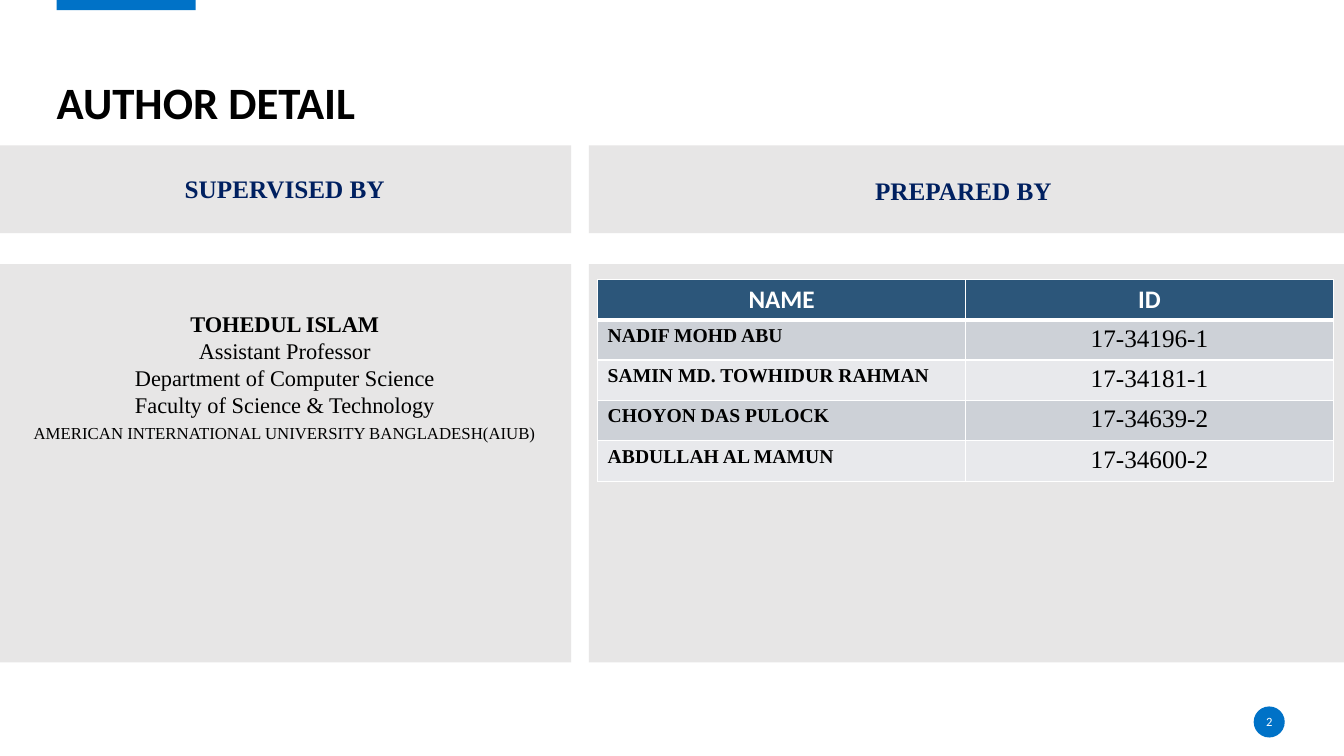
from lxml import etree
from pptx import Presentation
from pptx import util as u
from pptx.dml.color import RGBColor
from pptx.enum import shapes, text
from pptx.oxml import ns

BLUE = RGBColor(0x00, 0x72, 0xC7)
NAVY = RGBColor(0x00, 0x20, 0x60)
STEEL = RGBColor(0x2C, 0x56, 0x7A)
PANEL_GREY = RGBColor(0xE7, 0xE6, 0xE6)
BAND_DARK = RGBColor(0xCD, 0xD1, 0xD7)
BAND_LIGHT = RGBColor(0xE8, 0xE9, 0xEC)
WHITE = RGBColor(0xFF, 0xFF, 0xFF)
BLACK = RGBColor(0, 0, 0)
SERIF, SANS = "Times New Roman", "Calibri"

# Grid of 160 columns by 90 rows, each cell a twelfth of an inch
CELL = u.Inches(1) // 12
COLUMNS, ROWS = 160, 90
MARGIN = 6.75
LEFT_WIDTH, RIGHT_START = 68, 70.1
HEAD_TOP, HEAD_HEIGHT = 17.3, 10.45
BODY_TOP, BODY_HEIGHT = 31.45, 47.4

AUTHORS = [
    ("NADIF MOHD ABU", "17-34196-1"),
    ("SAMIN MD. TOWHIDUR RAHMAN", "17-34181-1"),
    ("CHOYON DAS PULOCK", "17-34639-2"),
    ("ABDULLAH AL MAMUN", "17-34600-2"),
]
SUPERVISOR_ROLE = [
    "Assistant Professor",
    "Department of Computer Science",
    "Faculty of Science & Technology",
]


def cells(*counts):
    return [round(count * CELL) for count in counts]


def write(paragraph, words, size, font=SERIF, color=BLACK, bold=False,
          align=text.PP_ALIGN.CENTER, line=None, before=0, after=0):
    paragraph.alignment = align
    paragraph.line_spacing = line
    paragraph.space_before = u.Pt(before)
    paragraph.space_after = u.Pt(after)
    run = paragraph.add_run()
    run.text = words
    run.font.size, run.font.name, run.font.bold = u.Pt(size), font, bold
    run.font.color.rgb = color


def add_block(slide, area, color, kind=shapes.MSO_SHAPE.RECTANGLE):
    block = slide.shapes.add_shape(kind, *cells(*area))
    block.shadow.inherit = False
    block.fill.solid()
    block.fill.fore_color.rgb = color
    block.line.fill.background()


def add_text(slide, area, lines, anchor=text.MSO_ANCHOR.MIDDLE):
    frame = slide.shapes.add_textbox(*cells(*area)).text_frame
    frame.word_wrap = True
    frame.vertical_anchor = anchor
    frame.margin_left = frame.margin_right = 0
    frame.margin_top = frame.margin_bottom = 0
    for number, (words, style) in enumerate(lines):
        paragraph = frame.add_paragraph() if number else frame.paragraphs[0]
        write(paragraph, words, **style)


def fill_cell(cell, words, fill, top=1, bottom=1, **style):
    # Borders come before the fill in the cell properties
    properties = cell._tc.get_or_add_tcPr()
    for side, points in (("L", 1), ("R", 1), ("T", top), ("B", bottom)):
        edge = etree.SubElement(properties, ns.qn(f"a:ln{side}"),
                                w=str(u.Pt(points)))
        paint = etree.SubElement(edge, ns.qn("a:solidFill"))
        etree.SubElement(paint, ns.qn("a:srgbClr"), val=str(WHITE))
    cell.fill.solid()
    cell.fill.fore_color.rgb = fill
    write(cell.text_frame.paragraphs[0], words, **style)


def add_authors(slide, left, top, width, row_height):
    row_count = len(AUTHORS) + 1
    authors = slide.shapes.add_table(
        row_count, 2, *cells(left, top, width, row_height * row_count)).table
    for column, heading in enumerate(("NAME", "ID")):
        fill_cell(authors.cell(0, column), heading, STEEL, bottom=3,
                  size=18, font=SANS, color=WHITE, bold=True)
    for row, (name, student_id) in enumerate(AUTHORS, start=1):
        band = BAND_DARK if row % 2 else BAND_LIGHT
        top_edge = 3 if row == 1 else 1
        fill_cell(authors.cell(row, 0), name, band, top_edge, size=14,
                  bold=True, align=text.PP_ALIGN.LEFT)
        fill_cell(authors.cell(row, 1), student_id, band, top_edge, size=18)


def main():
    deck = Presentation()
    deck.slide_width, deck.slide_height = cells(COLUMNS, ROWS)
    slide = deck.slides.add_slide(deck.slide_layouts[6])

    # Panels: a heading and a body on each side
    for left, width in ((RIGHT_START, COLUMNS - RIGHT_START), (0, LEFT_WIDTH)):
        add_block(slide, (left, BODY_TOP, width, BODY_HEIGHT), PANEL_GREY)
        add_block(slide, (left, HEAD_TOP, width, HEAD_HEIGHT), PANEL_GREY)

    # Accent tab and page number
    add_block(slide, (MARGIN, -0.2, 16.55, 1.4), BLUE)
    add_block(slide, (149.25, 84.1, 3.7, 3.7), BLUE, shapes.MSO_SHAPE.OVAL)
    add_text(slide, (149.2, 84.7, 3.8, 2.4),
             [("2", dict(size=9, font=SANS, color=WHITE))])

    # Title and panel headings
    add_text(slide, (MARGIN, 3.25, 146.25, 12.1),
             [("AUTHOR DETAIL", dict(size=32, font=SANS, bold=True, line=0.9,
                                     align=text.PP_ALIGN.LEFT))],
             text.MSO_ANCHOR.BOTTOM)
    heading = dict(size=18, color=NAVY, bold=True, line=0.9, before=10)
    add_text(slide, (2.9, 19.4, 62, 6.5), [("SUPERVISED BY", heading)])
    add_text(slide, (72.35, 19.65, 84.7, 6.5), [("PREPARED BY", heading)])

    # Supervisor
    role = dict(size=16, line=0.9, before=2)
    add_text(slide, (2.9, 37.3, 62, 37.6), [
        ("TOHEDUL ISLAM", dict(role, bold=True, before=10)),
        *((words, role) for words in SUPERVISOR_ROLE),
        ("AMERICAN INTERNATIONAL UNIVERSITY BANGLADESH(AIUB)",
         dict(role, size=12, before=5, after=1)),
    ], text.MSO_ANCHOR.TOP)

    # Authors
    add_authors(slide, 71.15, 33.25, 87.6, 4.2)

    deck.save("out.pptx")


if __name__ == "__main__":
    main()
